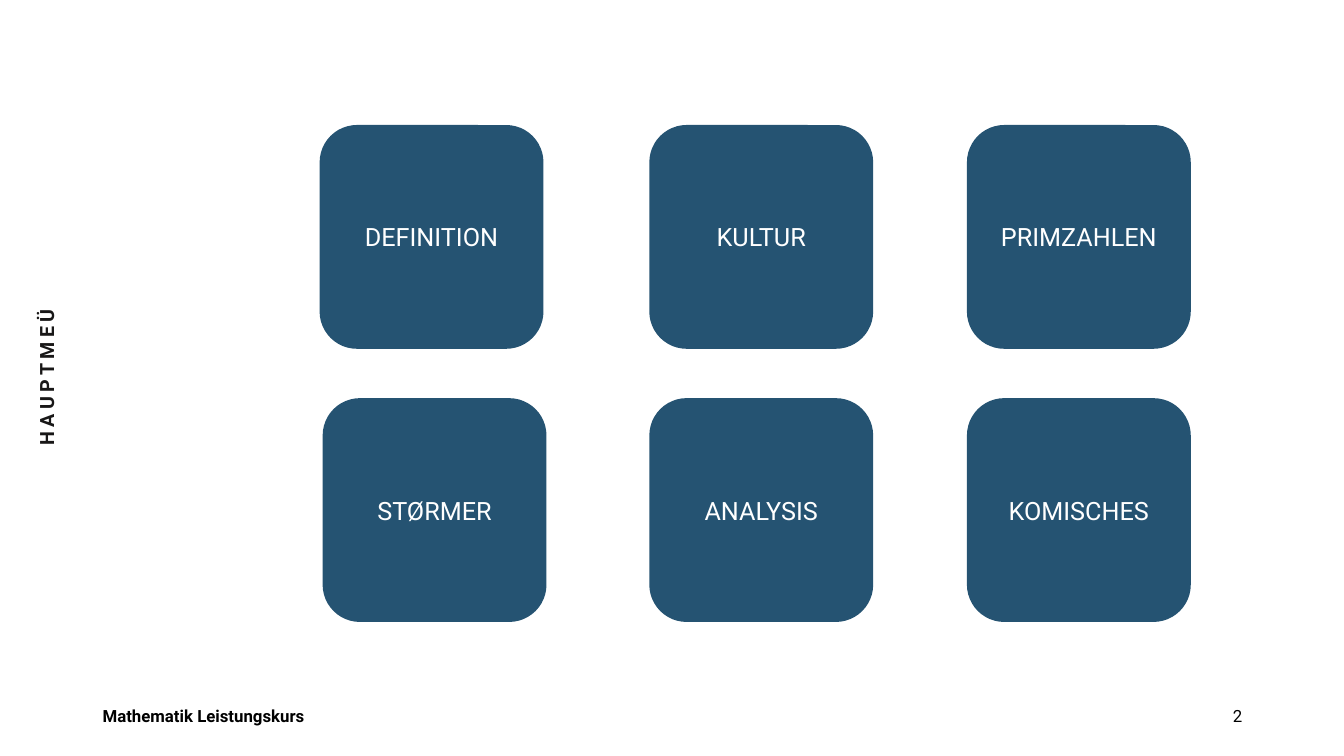
from pptx import Presentation
from pptx.dml.color import RGBColor as Rgb
from pptx.enum.shapes import MSO_SHAPE as Shape
from pptx.enum.text import MSO_ANCHOR as Anchor, PP_ALIGN as Align
from pptx.util import Inches, Pt

TITLE = "HAUPTMEÜ"
ROWS = [
    (1.24, [(3.17, "DEFINITION"), (6.44, "KULTUR"), (9.59, "PRIMZAHLEN")]),
    (3.95, [(3.2, "STØRMER"), (6.44, "ANALYSIS"), (9.59, "KOMISCHES")]),
]
FOOT = [
    ("Mathematik Leistungskurs", 0.92, 4.5, Align.LEFT, True),
    ("2", 9.42, 3, Align.RIGHT, False),
]
HEX = {"tile": "255372", "white": "FFFFFF", "title": "181717", "foot": "000000"}
FONT = "Roboto"
SIDE = 2.22


def color(name):
    return Rgb.from_string(HEX[name])


def write(shape, text, size, tint, align, anchor, bold=False):
    frame = shape.text_frame
    frame.text = text
    frame.word_wrap = True
    frame.vertical_anchor = anchor
    para = frame.paragraphs[0]
    para.alignment = align
    font = para.runs[0].font
    font.name = FONT
    font.size = Pt(size)
    font.bold = bold
    font.color.rgb = color(tint)
    return para


def add_title(slide):
    title = slide.shapes.title
    title.left, title.top = Inches(-2.44), Inches(3.48)
    title.width, title.height = Inches(5.83), Inches(0.53)
    title.rotation = 270
    para = write(title, TITLE, 14, "title", Align.CENTER, Anchor.MIDDLE, True)
    para.line_spacing = 0.9
    para.runs[0].font._element.set("spc", "300")


def add_tile(slide, left, top, text):
    tile = slide.shapes.add_shape(
        Shape.ROUNDED_RECTANGLE, Inches(left), Inches(top), Inches(SIDE), Inches(SIDE))
    tile.shadow.inherit = False
    tile.fill.solid()
    tile.fill.fore_color.rgb = color("tile")
    tile.line.fill.background()
    write(tile, text, 18, "white", Align.CENTER, Anchor.MIDDLE)


def main():
    deck = Presentation()
    deck.slide_width, deck.slide_height = Inches(13.33), Inches(7.5)
    slide = deck.slides.add_slide(deck.slide_layouts[5])
    for text, left, width, align, bold in FOOT:
        box = slide.shapes.add_textbox(
            Inches(left), Inches(6.95), Inches(width), Inches(0.4))
        write(box, text, 12, "foot", align, Anchor.TOP, bold)
    add_title(slide)
    for top, tiles in ROWS:
        for left, text in tiles:
            add_tile(slide, left, top, text)
    deck.save("out.pptx")


if __name__ == "__main__":
    main()
